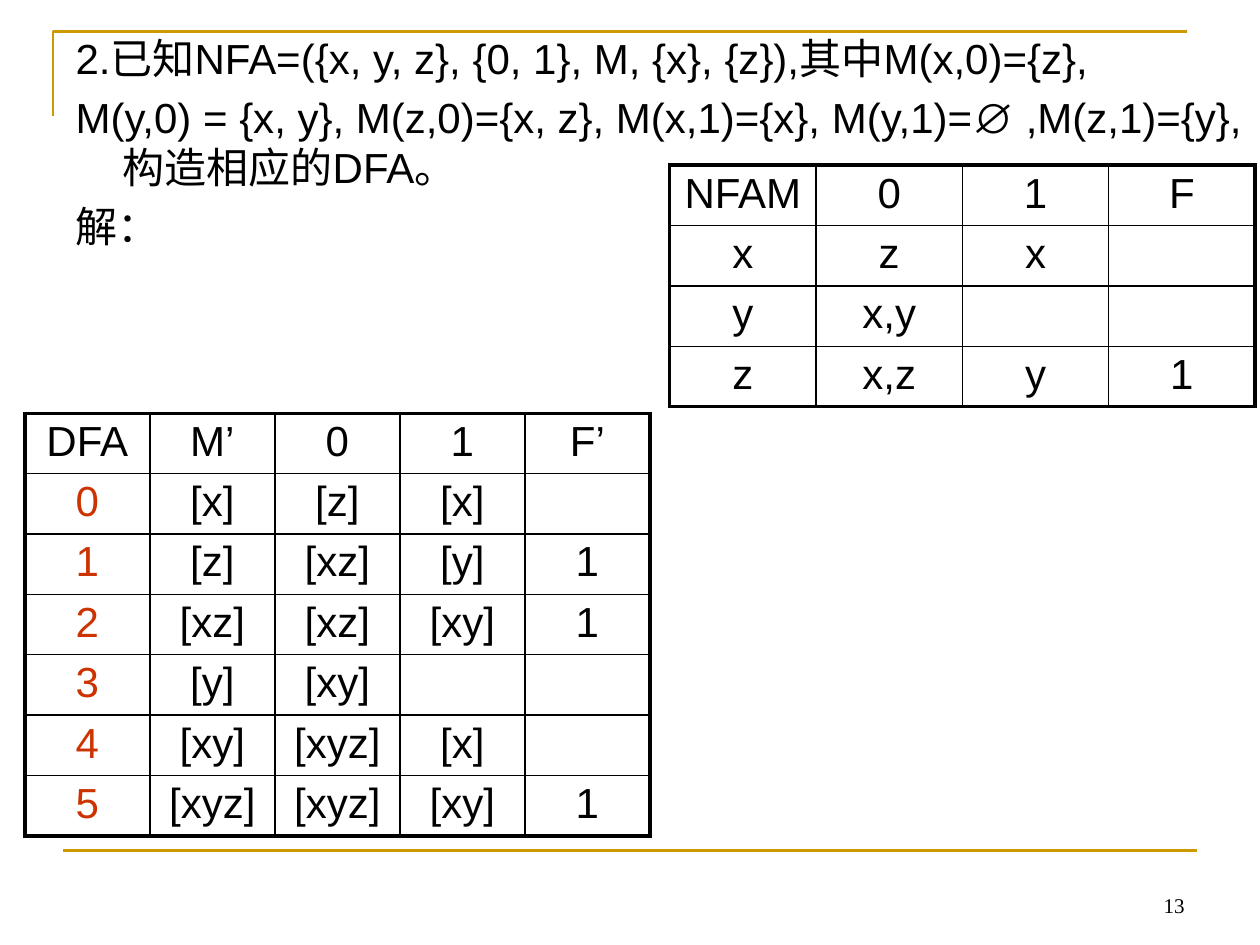
from pptx import Presentation
from pptx.dml.color import RGBColor
from pptx.enum.shapes import MSO_CONNECTOR
from pptx.enum.text import MSO_ANCHOR, MSO_AUTO_SIZE, PP_ALIGN
from pptx.oxml.ns import qn
from pptx.util import Cm, Pt
from lxml.etree import SubElement

BLACK = RGBColor(0x00, 0x00, 0x00)
GOLD = RGBColor(0xCC, 0x99, 0x00)
RED = RGBColor(0xCC, 0x33, 0x00)
BODY_FONT = {"name": "Arial", "size": Pt(24), "bold": False}
NUMBER_FONT = {"name": "Times New Roman", "size": Pt(12)}
ROW_HEIGHT = Cm(1.2)


def set_font(font, values, color=BLACK):
    for name, value in values.items():
        setattr(font, name, value)
    font.color.rgb = color


def add_border(cell, side, width):
    line = SubElement(cell._tc.get_or_add_tcPr(), qn(f"a:ln{side}"), w=str(Pt(width)))
    fill = SubElement(line, qn("a:solidFill"))
    SubElement(fill, qn("a:srgbClr"), val=str(BLACK))


deck = Presentation()
deck.slide_width, deck.slide_height = Cm(25.4), Cm(19.05)
page = deck.slides.add_slide(deck.slide_layouts[1])
title = page.shapes.title
title.element.getparent().remove(title.element)

# Corner frame at the top
builder = page.shapes.build_freeform(Cm(1.07), Cm(2.33))
builder.add_line_segments([(Cm(1.07), Cm(0.63)), (Cm(23.93), Cm(0.63))], close=False)
frame = builder.convert_to_shape()
frame.shadow.inherit = False
frame.fill.background()

# Rule at the bottom
rule = page.shapes.add_connector(
    MSO_CONNECTOR.STRAIGHT, Cm(1.27), Cm(17.15), Cm(24.13), Cm(17.15))
SubElement(rule._element.spPr, qn("a:effectLst"))
for shape in (frame, rule):
    shape.line.color.rgb = GOLD
    shape.line.width = Pt(1.5)

# Slide number
box = page.shapes.add_textbox(Cm(18.2), Cm(17.35), Cm(5.93), Cm(1.27))
box.text_frame.word_wrap = True
box.text_frame.vertical_anchor = MSO_ANCHOR.BOTTOM
para = box.text_frame.paragraphs[0]
para.text = "13"
para.alignment = PP_ALIGN.RIGHT
set_font(para.runs[0].font, NUMBER_FONT)

# Problem statement
problem = [
    "2.已知NFA=({x, y, z}, {0, 1}, M, {x}, {z}),其中M(x,0)={z},",
    "M(y,0) = {x, y}, M(z,0)={x, z}, M(x,1)={x}, M(y,1)=∅ ,M(z,1)={y},构造相应的DFA。",
    "解：",
]
body = page.placeholders[1]
body.left, body.top, body.width, body.height = Cm(1.27), Cm(0.53), Cm(24.13), Cm(17.73)
frame_text = body.text_frame
frame_text.auto_size = MSO_AUTO_SIZE.NONE
for index, text in enumerate(problem):
    para = frame_text.paragraphs[0] if index == 0 else frame_text.add_paragraph()
    properties = para._p.get_or_add_pPr()
    properties.set("marL", str(Cm(0.95)))
    properties.set("indent", str(-Cm(0.95)))
    SubElement(properties, qn("a:buNone"))
    para.space_before = Pt(4.8 if index else 0)
    span = para.add_run()
    span.text = text
    set_font(span.font, BODY_FONT)

# Transition tables: left, top, column width, rows, colour of the state column
nfa_rows = [
    ["NFAM", "0", "1", "F"],
    ["x", "z", "x", ""],
    ["y", "x,y", "", ""],
    ["z", "x,z", "y", "1"],
]
dfa_rows = [
    ["DFA", "M’", "0", "1", "F’"],
    ["0", "[x]", "[z]", "[x]", ""],
    ["1", "[z]", "[xz]", "[y]", "1"],
    ["2", "[xz]", "[xz]", "[xy]", "1"],
    ["3", "[y]", "[xy]", "", ""],
    ["4", "[xy]", "[xyz]", "[x]", ""],
    ["5", "[xyz]", "[xyz]", "[xy]", "1"],
]
tables = [
    (Cm(13.5), Cm(3.33), Cm(2.95), nfa_rows, BLACK),
    (Cm(0.5), Cm(8.33), Cm(2.52), dfa_rows, RED),
]
for left, top, column_width, rows, state_color in tables:
    last_row, last_column = len(rows) - 1, len(rows[0]) - 1
    table = page.shapes.add_table(
        len(rows), len(rows[0]), left, top,
        column_width * len(rows[0]), ROW_HEIGHT * len(rows)).table
    table.first_row = table.horz_banding = False
    for column in table.columns:
        column.width = column_width
    for r, row in enumerate(rows):
        table.rows[r].height = ROW_HEIGHT
        for c, text in enumerate(row):
            cell = table.cell(r, c)
            outer = {"L": c == 0, "R": c == last_column, "T": r == 0, "B": r == last_row}
            for side, is_outer in outer.items():
                add_border(cell, side, 2.25 if is_outer else 1)
            cell.fill.background()
            cell.margin_top = cell.margin_bottom = Cm(0.1)
            para = cell.text_frame.paragraphs[0]
            para.alignment = PP_ALIGN.CENTER
            if text:
                span = para.add_run()
                span.text = text
                set_font(span.font, BODY_FONT, state_color if r and c == 0 else BLACK)

deck.save("out.pptx")
